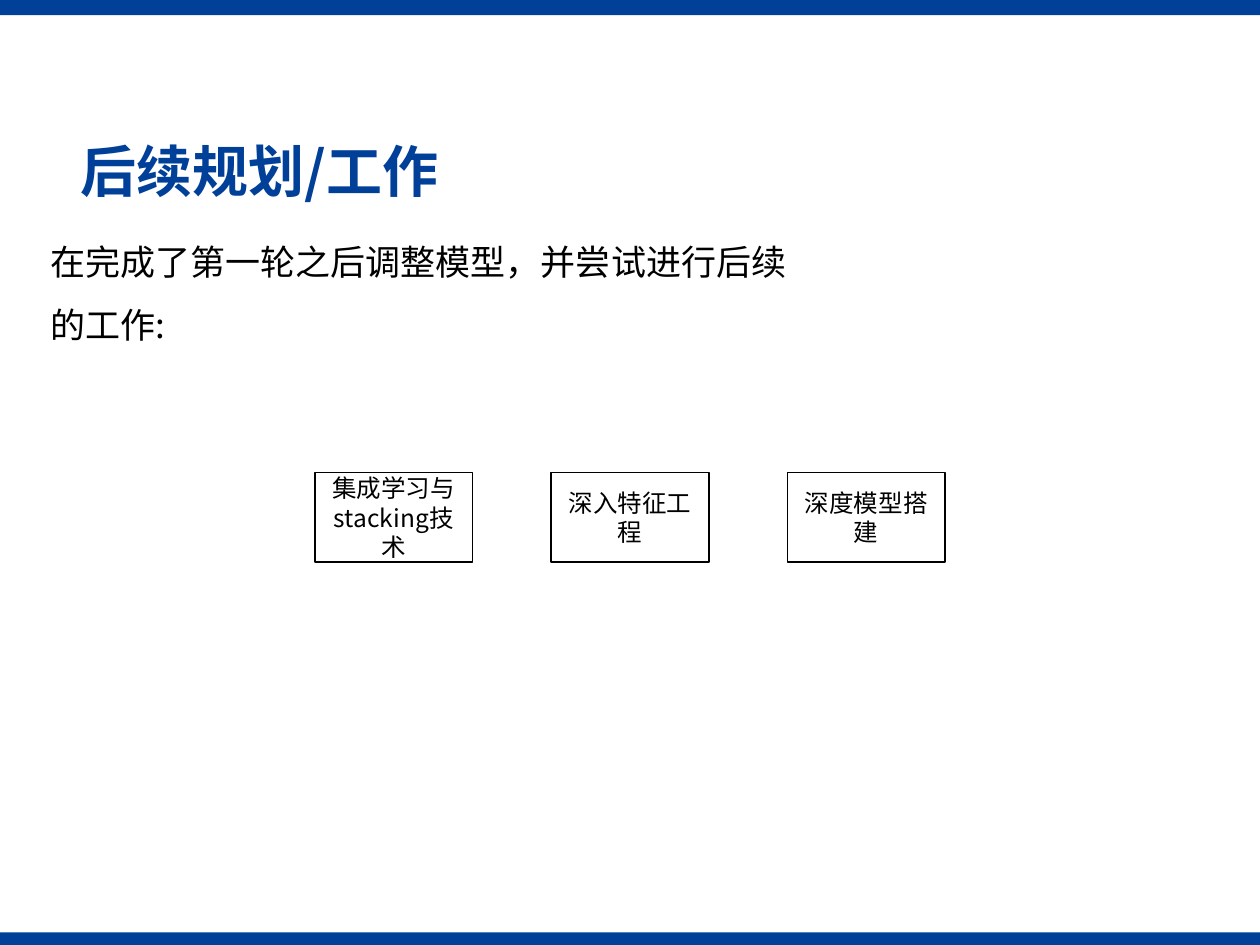
"""Build the follow-up plan slide with its three work items."""
from lxml import etree
from pptx import Presentation
from pptx.dml.color import RGBColor
from pptx.enum.shapes import MSO_SHAPE
from pptx.enum.text import MSO_ANCHOR, PP_ALIGN
from pptx.oxml.ns import qn
from pptx.util import Inches, Pt

RECTANGLE = MSO_SHAPE.RECTANGLE
PROCESS = MSO_SHAPE.FLOWCHART_PROCESS
MIDDLE = MSO_ANCHOR.MIDDLE
CENTER = PP_ALIGN.CENTER
FONT = "Noto Sans CJK SC"
COLORS = {"blue": "004098", "black": "000000", "white": "FFFFFF"}


def add_text(shape, text, size, color="black", bold=False):
    shape.text_frame.word_wrap = True
    paragraph = shape.text_frame.paragraphs[0]
    run = paragraph.add_run()
    run.text = text
    run.font.name = FONT
    run.font.size = Pt(size)
    run.font.bold = bold
    run.font.color.rgb = RGBColor.from_string(COLORS[color])
    east_asian = etree.SubElement(run.font._element, qn("a:ea"))
    east_asian.set("typeface", FONT)
    return paragraph


def add_box(kind, left, top, width, height, fill):
    shape = slide.shapes.add_shape(
        kind, Inches(left), Inches(top), Inches(width), Inches(height)
    )
    shape.shadow.inherit = False
    shape.fill.solid()
    shape.fill.fore_color.rgb = RGBColor.from_string(COLORS[fill])
    shape.line.fill.background()
    return shape


presentation = Presentation()
presentation.slide_width = Inches(10)
presentation.slide_height = Inches(7.5)
slide = presentation.slides.add_slide(presentation.slide_layouts[6])

for top, height in [(7.4, 0.1), (0, 0.12)]:
    add_box(RECTANGLE, 0, top, 10, height, "blue")

body = slide.shapes.add_textbox(Inches(0.3), Inches(1.69), Inches(6.3), Inches(5.38))
paragraph = add_text(body, "在完成了第一轮之后调整模型，并尝试进行后续的工作:", 20)
paragraph.line_spacing = 1.5

title = slide.shapes.add_textbox(Inches(0.54), Inches(1.07), Inches(9.16), Inches(0.63))
title.text_frame.vertical_anchor = MIDDLE
paragraph = add_text(title, "后续规划/工作", 32, "blue", True)
paragraph.line_spacing = 0.9

work_items = ["集成学习与stacking技术", "深入特征工程", "深度模型搭建"]
for index, work_item in enumerate(work_items):
    box = add_box(PROCESS, 2.5 + index * 1.875, 3.75, 1.25, 0.71, "white")
    box.line.color.rgb = RGBColor.from_string(COLORS["black"])
    box.line.width = Pt(1)
    box.text_frame.vertical_anchor = MIDDLE
    paragraph = add_text(box, work_item, 14)
    paragraph.alignment = CENTER

presentation.save("out.pptx")
